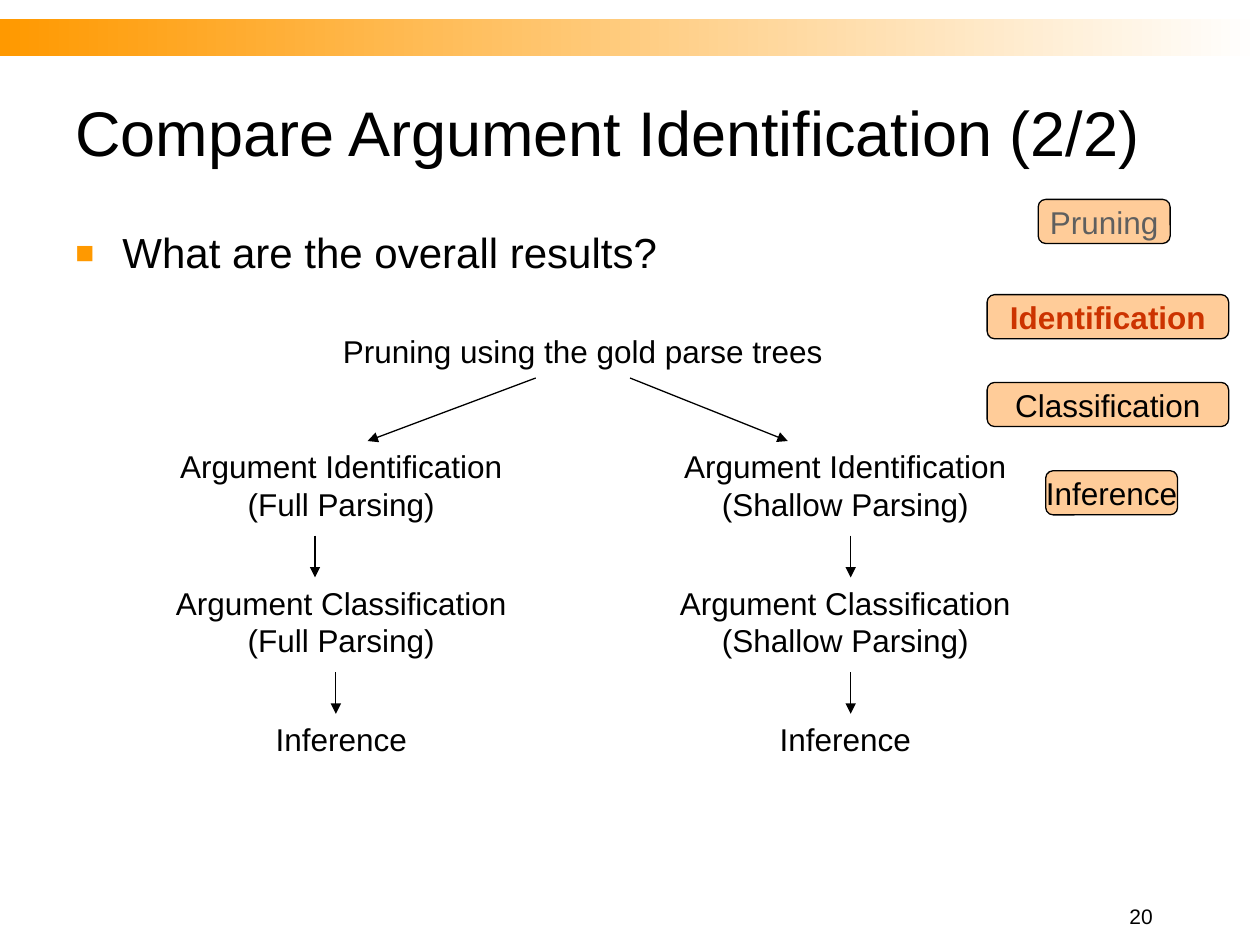
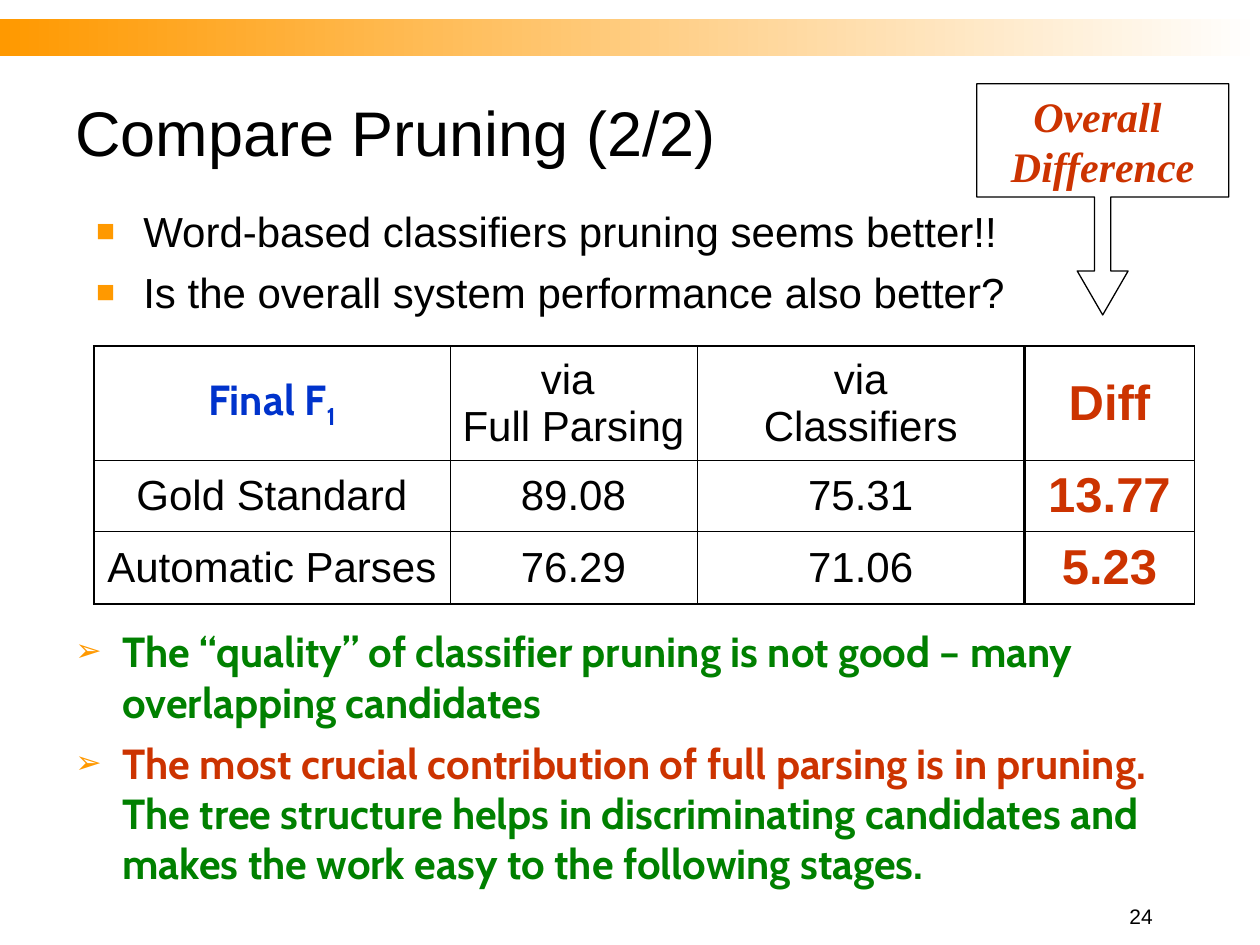
from dataclasses import dataclass, replace
from typing import NamedTuple

from lxml import etree
from pptx import Presentation
from pptx import util as u
from pptx.dml.color import RGBColor
from pptx.enum import shapes, text
from pptx.oxml import ns

Cm, Pt = u.Cm, u.Pt


@dataclass(frozen=True)
class Style:
    size: float = 18
    color: str = "000000"
    font: str = "Arial"
    bold: bool = False
    italic: bool = False
    baseline: int = 0


@dataclass(frozen=True)
class Theme:
    white: str = "FFFFFF"
    black: str = "000000"
    orange: str = "FF9900"
    peach: str = "FFCC99"
    red: str = "CC3300"
    thin: float = 0.75
    title: Style = Style(36)
    body: Style = Style(24)
    flow: Style = Style(18)
    muted: Style = Style(18, "5F5F5F")
    current: Style = Style(18, red, bold=True)
    number: Style = Style(12)
    measure: Style = Style(24, "0033CC", "Cabin", True)
    finding: Style = Style(24, "008000", "Cabin", True)
    key_finding: Style = Style(24, red, "Cabin", True)
    diff: Style = Style(28, red, bold=True)
    callout: Style = Style(24, red, "Times New Roman", True, True)


THEME = Theme()


class Area(NamedTuple):
    """Left, top, width and height in centimetres."""
    left: float
    top: float
    width: float
    height: float

    def lengths(self) -> list:
        return [Cm(value) for value in self]


class Span(NamedTuple):
    words: str
    style: Style


class Stage(NamedTuple):
    words: str
    area: Area
    style: Style


class Arrow(NamedTuple):
    x1: float
    y1: float
    x2: float
    y2: float


def rgb(color: str) -> RGBColor:
    return RGBColor.from_string(color)


def add_xml(parent, tag: str, **values):
    return etree.SubElement(parent, ns.qn(tag), values)


def write_spans(para, spans: list[Span]) -> None:
    for words, style in spans:
        for index, line in enumerate(words.split("\n")):
            if index:
                para.add_line_break()
            span = para.add_run()
            span.text = line
            formats = {"size": Pt(style.size), "name": style.font,
                       "bold": style.bold, "italic": style.italic}
            for name, value in formats.items():
                setattr(span.font, name, value)
            span.font.color.rgb = rgb(style.color)
            if style.baseline:
                span.font._element.set("baseline", str(style.baseline * 1000))


def set_bullet(para, char: str) -> None:
    para.space_before = Pt(6)
    props = para._p.get_or_add_pPr()
    props.set("marL", str(Cm(0.95)))
    props.set("indent", str(-Cm(0.95)))
    add_xml(add_xml(props, "a:buClr"), "a:srgbClr", val=THEME.orange)
    add_xml(props, "a:buSzPct", val="75000")
    add_xml(props, "a:buFont", typeface="Arial")
    add_xml(props, "a:buChar", char=char)


def add_text(page, area: Area, paragraphs: list[list[Span]], bullet: str = "",
             align=text.PP_ALIGN.LEFT, anchor=text.MSO_ANCHOR.TOP) -> None:
    frame = page.shapes.add_textbox(*area.lengths()).text_frame
    frame.word_wrap = True
    frame.vertical_anchor = anchor
    for index, spans in enumerate(paragraphs):
        para = frame.add_paragraph() if index else frame.paragraphs[0]
        para.alignment = align
        if bullet:
            set_bullet(para, bullet)
        write_spans(para, spans)


def add_box(page, preset, area: Area, label: Span, fill: str = "",
            adjustments: tuple = ()) -> None:
    box = page.shapes.add_shape(preset, *area.lengths())
    box.shadow.inherit = False
    for index, value in enumerate(adjustments):
        box.adjustments[index] = value
    if fill:
        box.fill.solid()
        box.fill.fore_color.rgb = rgb(fill)
    else:
        box.fill.background()
    box.line.color.rgb = rgb(THEME.black)
    box.line.width = Pt(THEME.thin)
    frame = box.text_frame
    frame.word_wrap = False
    frame.vertical_anchor = text.MSO_ANCHOR.MIDDLE
    frame.paragraphs[0].alignment = text.PP_ALIGN.CENTER
    write_spans(frame.paragraphs[0], [label])


def add_arrow(page, arrow: Arrow) -> None:
    line = page.shapes.add_connector(shapes.MSO_CONNECTOR.STRAIGHT,
                                     *[Cm(value) for value in arrow])
    line.line.color.rgb = rgb(THEME.black)
    line.line.width = Pt(THEME.thin)
    props = line._element.spPr
    add_xml(props.find(ns.qn("a:ln")), "a:tailEnd", type="triangle")
    add_xml(props, "a:effectLst")


def add_page(deck, title: str, number: int):
    """Add a page with the gradient band, the title and the page number."""
    page = deck.slides.add_slide(deck.slide_layouts[6])
    band = page.shapes.add_shape(shapes.MSO_SHAPE.RECTANGLE,
                                 *Area(0, 0.38, 25.4, 0.76).lengths())
    band.shadow.inherit = False
    band.line.fill.background()
    band.fill.gradient()
    band.fill.gradient_angle = 180
    for stop, position, color in zip(band.fill.gradient_stops, (0, 1),
                                     (THEME.white, THEME.orange)):
        stop.position = position
        stop.color.rgb = rgb(color)
    add_text(page, Area(1.27, 1.27, 22.86, 2.74), [[Span(title, THEME.title)]],
             anchor=text.MSO_ANCHOR.MIDDLE)
    add_text(page, Area(20.95, 18.2, 2.54, 0.64),
             [[Span(str(number), THEME.number)]],
             align=text.PP_ALIGN.RIGHT, anchor=text.MSO_ANCHOR.BOTTOM)
    return page


def set_borders(cell, widths: dict[str, float]) -> None:
    """Put cell lines, given as points per side, ahead of the cell fill."""
    props = cell._tc.get_or_add_tcPr()
    for index, (side, width) in enumerate(widths.items()):
        line = etree.Element(ns.qn(f"a:ln{side}"), w=str(Pt(width)))
        add_xml(add_xml(line, "a:solidFill"), "a:srgbClr", val=THEME.black)
        props.insert(index, line)


def add_score_table(page) -> None:
    header = [[Span("Final F", THEME.measure),
               Span("1", replace(THEME.measure, baseline=-25))],
              [Span("via \nFull Parsing", THEME.body)],
              [Span("via\nClassifiers", THEME.body)],
              [Span("Diff", THEME.diff)]]
    scores = [("Gold Standard", "89.08", "75.31", "13.77"),
              ("Automatic Parses", "76.29", "71.06", "5.23")]
    styles = [THEME.body] * 3 + [THEME.diff]
    rows = [header] + [[[Span(*pair)] for pair in zip(row, styles)]
                       for row in scores]
    widths, heights = (7.18, 4.98, 6.6, 3.43), (2.29, 1.45, 1.45)
    area = Area(1.89, 6.98, sum(widths), sum(heights))
    table = page.shapes.add_table(len(rows), len(widths), *area.lengths()).table
    table.first_row = table.horz_banding = False
    for column, width in zip(table.columns, widths):
        column.width = Cm(width)
    for row, height in zip(table.rows, heights):
        row.height = Cm(height)

    inner, outer, divider = 0.45, 1.08, 1.47
    verticals = [outer, inner, inner, divider, outer]
    horizontals = [outer, inner, inner, outer]
    for r, row in enumerate(rows):
        for c, spans in enumerate(row):
            cell = table.cell(r, c)
            cell.vertical_anchor = text.MSO_ANCHOR.MIDDLE
            cell.margin_left = cell.margin_right = Cm(0.2)
            if c == 0 or (r and c < 3):
                cell.fill.solid()
                cell.fill.fore_color.rgb = rgb(THEME.white)
            else:
                cell.fill.background()
            set_borders(cell, {"L": verticals[c], "R": verticals[c + 1],
                               "T": horizontals[r], "B": horizontals[r + 1]})
            para = cell.text_frame.paragraphs[0]
            para.alignment = text.PP_ALIGN.CENTER
            write_spans(para, spans)


def build_identification(deck) -> None:
    page = add_page(deck, "Compare Argument Identification (2/2)", 20)
    add_text(page, Area(1.27, 4.45, 22.86, 12.7),
             [[Span("What are the overall results?", THEME.body)]], "■")

    steps = [("Pruning using the gold parse trees", Area(6.35, 6.56, 10.8, 1.02))]
    for left, parsing in ((2.97, "Full"), (13.13, "Shallow")):
        labels = (f"Argument Identification ({parsing} Parsing)",
                  f"Argument Classification ({parsing} Parsing)", "Inference")
        for index, (label, height) in enumerate(zip(labels, (1.78, 1.78, 1.02))):
            steps.append((label, Area(left, 8.89 + 2.75 * index, 7.82, height)))
    for label, area in steps:
        add_text(page, area, [[Span(label, THEME.flow)]],
                 align=text.PP_ALIGN.CENTER)

    arrows = [Arrow(10.8, 7.62, 7.41, 8.89), Arrow(12.7, 7.62, 15.88, 8.89)]
    for top, centers in ((10.8, (6.35, 17.15)), (13.55, (6.77, 17.15))):
        arrows += [Arrow(x, top, x, top + 0.84) for x in centers]
    for arrow in arrows:
        add_arrow(page, arrow)

    stages = [
        Stage("Pruning", Area(20.93, 4.02, 2.66, 0.89), THEME.muted),
        Stage("Identification", Area(19.9, 5.94, 4.87, 0.89), THEME.current),
        Stage("Classification", Area(19.9, 7.71, 4.87, 0.89), THEME.flow),
        Stage("Inference", Area(21.08, 9.49, 2.66, 0.89), THEME.flow),
    ]
    for stage in stages:
        add_box(page, shapes.MSO_SHAPE.ROUNDED_RECTANGLE, stage.area,
                Span(stage.words, stage.style), THEME.peach, (0.17,))


def build_pruning(deck) -> None:
    page = add_page(deck, "Compare Pruning (2/2)", 24)
    questions = ("Word-based classifiers pruning seems better!!",
                 "Is the overall system performance also better?")
    add_text(page, Area(1.69, 4.01, 22.86, 2.54),
             [[Span(question, THEME.body)] for question in questions], "■")
    add_score_table(page)
    add_text(page, Area(1.27, 12.49, 22.86, 5.5), [
        [Span("The “quality” of classifier pruning is not good – many "
              "overlapping candidates", THEME.finding)],
        [Span("The most crucial contribution of full parsing is in pruning.",
              THEME.key_finding),
         Span(" The tree structure helps in discriminating candidates and makes "
              "the work easy to the following stages.", THEME.finding)],
    ], "➢")
    add_box(page, shapes.MSO_SHAPE.DOWN_ARROW_CALLOUT,
            Area(19.69, 1.69, 5.08, 4.66),
            Span("Overall \nDifference", THEME.callout),
            adjustments=(0.07, 0.11, 0.19, 0.49))


def main() -> None:
    deck = Presentation()
    deck.slide_width, deck.slide_height = Cm(25.4), Cm(19.05)
    build_identification(deck)
    build_pruning(deck)
    deck.save("out.pptx")


if __name__ == "__main__":
    main()
